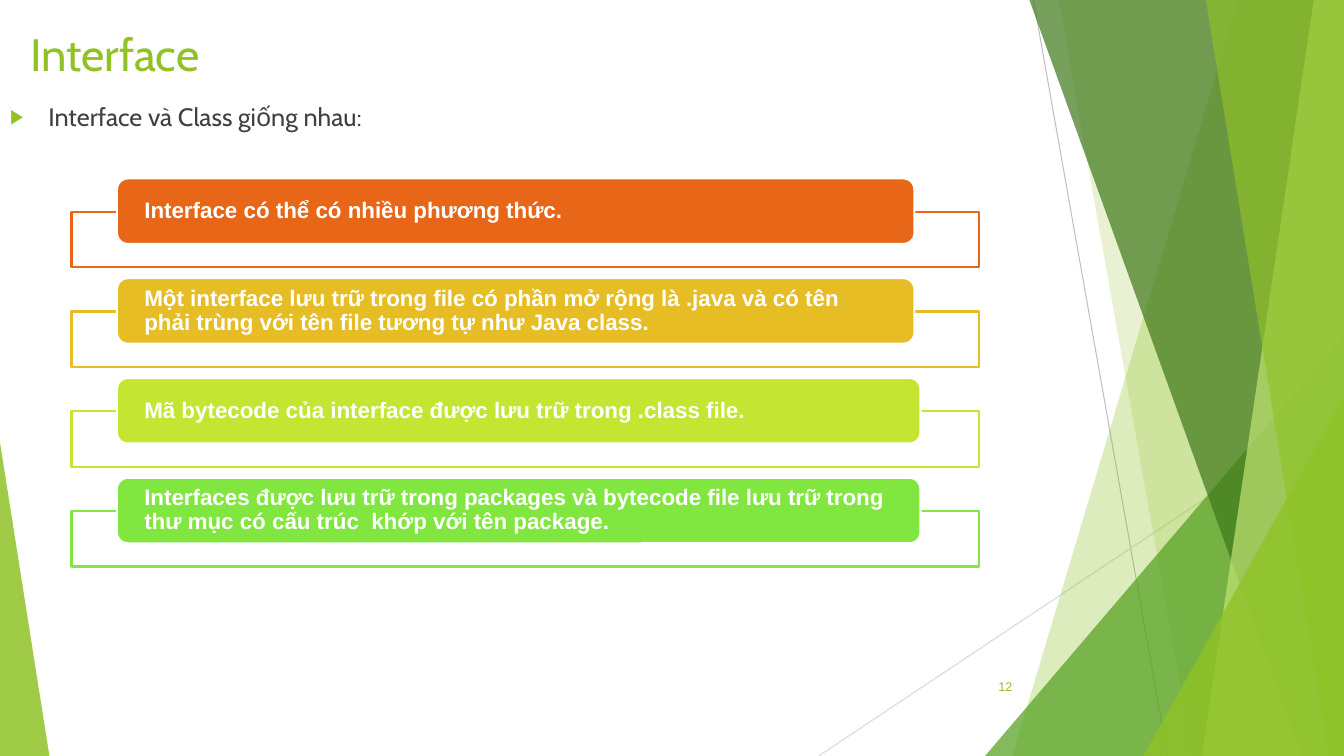
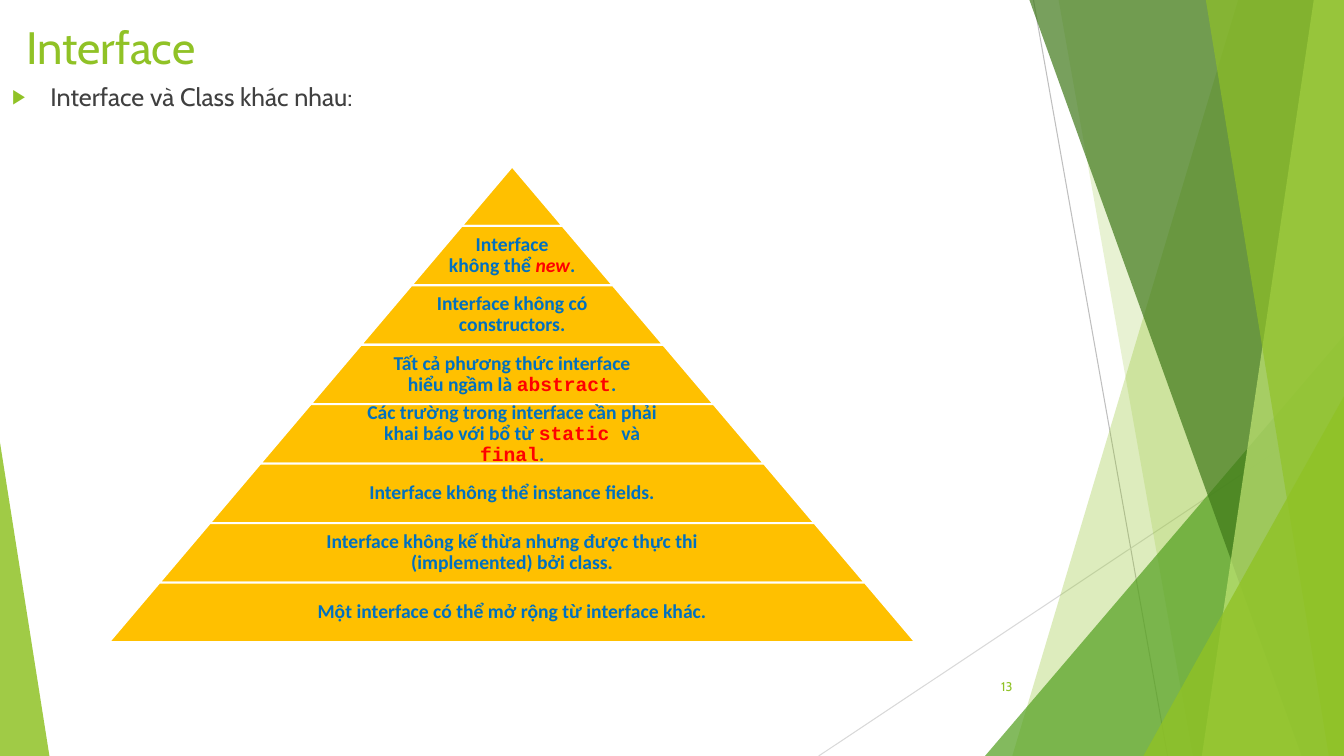
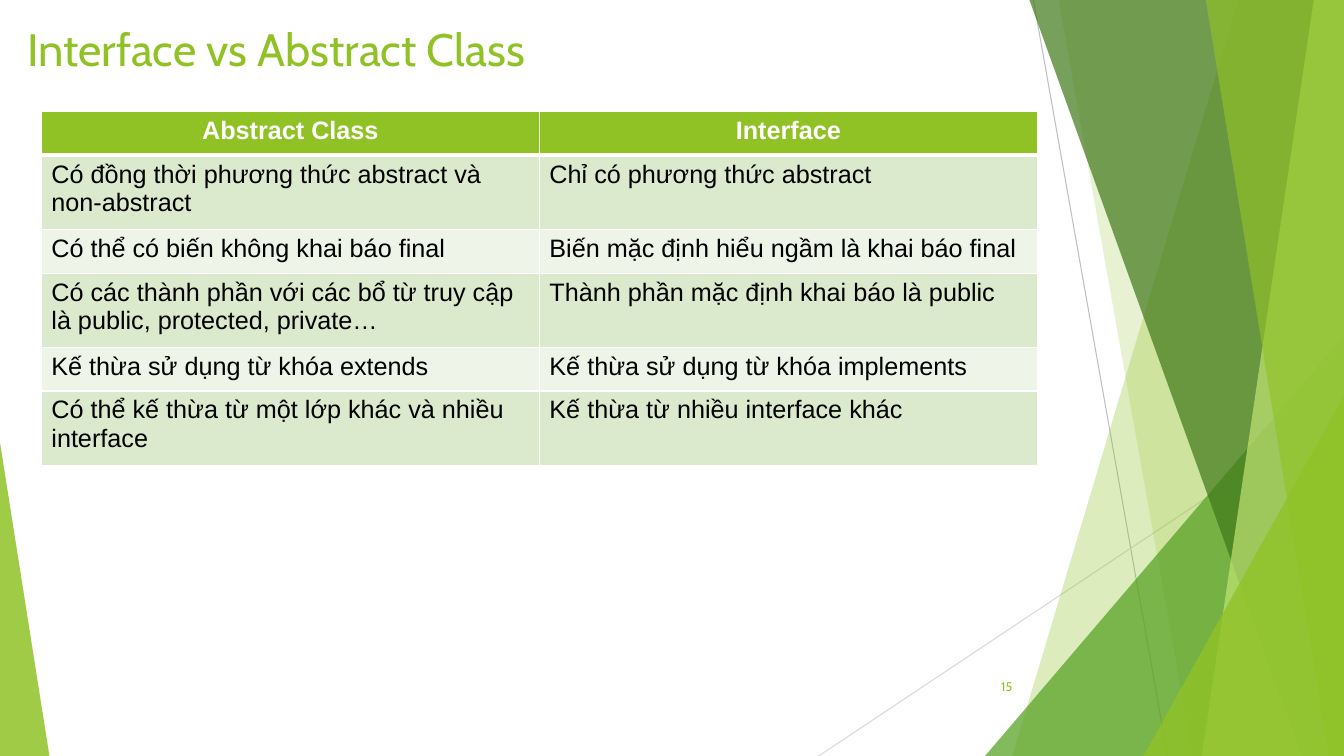
from lxml import etree
from pptx import Presentation
from pptx.dml.color import RGBColor
from pptx.enum.shapes import MSO_CONNECTOR, MSO_SHAPE
from pptx.enum.text import MSO_ANCHOR, MSO_AUTO_SIZE, PP_ALIGN
from pptx.oxml.ns import qn
from pptx.util import Pt

PX = 9144
WIDTH, HEIGHT = 1333, 750

RECT, ROUNDED = MSO_SHAPE.RECTANGLE, MSO_SHAPE.ROUNDED_RECTANGLE
TRIANGLE, TRAPEZOID = MSO_SHAPE.ISOSCELES_TRIANGLE, MSO_SHAPE.TRAPEZOID
STRAIGHT = MSO_CONNECTOR.STRAIGHT
TOP, MIDDLE = MSO_ANCHOR.TOP, MSO_ANCHOR.MIDDLE
LEFT, CENTER, RIGHT = PP_ALIGN.LEFT, PP_ALIGN.CENTER, PP_ALIGN.RIGHT
NO_FIT = MSO_AUTO_SIZE.NONE

WHITE = RGBColor(0xFF, 0xFF, 0xFF)
BLACK = RGBColor(0x00, 0x00, 0x00)
GREY = RGBColor(0x40, 0x40, 0x40)
SILVER = RGBColor(0xBF, 0xBF, 0xBF)
MIST = RGBColor(0xD9, 0xD9, 0xD9)
GREEN = RGBColor(0x90, 0xC2, 0x26)
LEAF = RGBColor(0x54, 0xA0, 0x21)
FOREST = RGBColor(0x3F, 0x78, 0x19)
LIME = RGBColor(0xC0, 0xE4, 0x74)
GOLD = RGBColor(0xFF, 0xC0, 0x00)
BLUE = RGBColor(0x00, 0x70, 0xC0)
RED = RGBColor(0xFF, 0x00, 0x00)
ROW_DARK = RGBColor(0xDB, 0xE9, 0xCD)
ROW_LIGHT = RGBColor(0xEE, 0xF4, 0xE8)

HEADING, ARIAL, BODY, CODE = "Cabin", "Arial", "Calibri", "Courier New"

RAYS = [
    ((1025, 0), (1158, 750), SILVER),
    ((1333, 403), (812, 750), MIST),
]
FACETS = [
    ("band", [(1228, 0), (1333, 0), (1333, 750), (1004, 750)], GREEN, 30),
    ("band", [(1050, 0), (1333, 0), (1333, 750), (1183, 750)], GREEN, 20),
    ("triangle", (977, 333, 356, 417, 1), LEAF, 72),
    ("band", [(1021, 0), (1333, 0), (1333, 750), (1291, 750)], FOREST, 70),
    ("band", [(1303, 0), (1333, 0), (1333, 750), (1192, 750)], LIME, 70),
    ("band", [(1196, 0), (1333, 0), (1333, 750), (1318, 750)], GREEN, 65),
    ("triangle", (1134, 393, 199, 357, 1), GREEN, 80),
    ("triangle", (0, 439, 49, 311, 0), GREEN, 85),
]

SIMILARITIES = [
    ("Interface có thể có nhiều phương thức.", RGBColor(0xE7, 0x66, 0x18), 791),
    ("Một interface lưu trữ trong file có phần mở rộng là .java và có tên "
     "phải trùng với tên file tương tự như Java class.", RGBColor(0xE7, 0xBD, 0x25), 791),
    ("Mã bytecode của interface được lưu trữ trong .class file.",
     RGBColor(0xC4, 0xE6, 0x33), 797),
    ("Interfaces được lưu trữ trong packages và bytecode file lưu trữ trong "
     "thư mục có cấu trúc  khớp với tên package.", RGBColor(0x82, 0xE6, 0x40), 797),
]

DIFFERENCES = [
    [],
    [("Interface không thể ", "text"), ("new", "italic"), (".", "text")],
    [("Interface không có constructors.", "text")],
    [("Tất cả phương thức interface hiểu ngầm là ", "text"), ("abstract", "code"),
     (".", "text")],
    [("Các trường trong interface cần phải khai báo với bổ từ ", "text"),
     ("static ", "code"), ("và ", "text"), ("final", "code"), (".", "text")],
    [("Interface không thể instance fields.", "text")],
    [("Interface không kế thừa nhưng được thực thi (implemented) bởi class.", "text")],
    [("Một interface có thể mở rộng từ interface khác.", "text")],
]

COMPARISON = [
    ("Abstract Class", "Interface"),
    ("Có đồng thời phương thức abstract và non-abstract", "Chỉ có phương thức abstract"),
    ("Có thể có biến không khai báo final", "Biến mặc định hiểu ngầm là khai báo final"),
    ("Có các thành phần với các bổ từ truy cập là public, protected, private…",
     "Thành phần mặc định khai báo là public"),
    ("Kế thừa sử dụng từ khóa extends", "Kế thừa sử dụng từ khóa implements"),
    ("Có thể kế thừa từ một lớp khác và nhiều interface",
     "Kế thừa từ nhiều interface khác"),
]


def emu(*lengths):
    """Turn px lengths into EMU."""
    return [round(v * PX) for v in lengths]


def sub(parent, tag, **attrs):
    """Append an XML child with the given attributes."""
    el = etree.SubElement(parent, qn(tag))
    for name, value in attrs.items():
        el.set(name, str(value))
    return el


def set_font(font, name, size, color, bold=False):
    """Set the face, size, colour and weight of a font."""
    font.name, font.size, font.bold = name, Pt(size), bold
    font.color.rgb = color


def paint(sp, fill, alpha=100, line=None):
    """Give a shape a fill, an opacity and an outline without shadow."""
    sp.shadow.inherit = False
    sp.fill.solid()
    sp.fill.fore_color.rgb = fill
    if alpha < 100:
        sub(sp.element.xpath("./p:spPr/a:solidFill/*")[0], "a:alpha", val=alpha * 1000)
    if line is None:
        sp.line.fill.background()
    else:
        sp.line.color.rgb = line
        sp.line.width = Pt(1.5)


def add_box(slide, kind, box, fill, alpha=100, line=None, adj=None):
    """Add a painted preset shape in a px box."""
    sp = slide.shapes.add_shape(kind, *emu(*box))
    if adj is not None:
        sp.adjustments[0] = adj
    paint(sp, fill, alpha, line)
    return sp


def set_frame(tf, anchor, side=10, edge=5):
    """Set wrapping, anchor and px margins of a text frame."""
    tf.word_wrap, tf.auto_size, tf.vertical_anchor = True, NO_FIT, anchor
    tf.margin_left, tf.margin_right = emu(side, side)
    tf.margin_top, tf.margin_bottom = emu(edge, edge)


def add_backdrop(prs, slide):
    """Draw the rays and facets and move them to the slide master."""
    parts = []
    for start, end, color in RAYS:
        ray = slide.shapes.add_connector(STRAIGHT, *emu(*start, *end))
        ray.line.color.rgb, ray.line.width = color, Pt(0.75)
        sub(ray.element.spPr, "a:effectLst")
        parts.append(ray)
    for kind, outline, color, alpha in FACETS:
        if kind == "band":
            builder = slide.shapes.build_freeform(*outline[0], scale=PX)
            builder.add_line_segments(outline[1:], close=True)
            sp = builder.convert_to_shape()
            paint(sp, color, alpha)
        else:
            sp = add_box(slide, TRIANGLE, outline[:4], color, alpha, adj=outline[4])
        parts.append(sp)
    tree = prs.slide_master.shapes.element
    for i, sp in enumerate(parts):
        sp.element.xpath(".//p:cNvPr")[0].set("id", str(100 + i))
        tree.insert(2 + i, sp.element)


def fill_placeholder(ph, box, text, size, color):
    """Place a placeholder and write its single paragraph."""
    ph.left, ph.top, ph.width, ph.height = emu(*box)
    set_frame(ph.text_frame, TOP)
    ph.text_frame.text = text
    p = ph.text_frame.paragraphs[0]
    if ph.placeholder_format.idx == 1:
        pPr = p._p.get_or_add_pPr()
        indent = emu(38)[0]
        pPr.set("marL", str(indent))
        pPr.set("indent", str(-indent))
        sub(sub(pPr, "a:buClr"), "a:srgbClr", val=GREEN)
        sub(pPr, "a:buSzPct", val=80000)
        sub(pPr, "a:buChar", char="▶")
    p.alignment, p.space_before = LEFT, Pt(0)
    set_font(p.font, HEADING, size, color)


def add_slide(prs, layout, title, title_box, number, number_font=HEADING):
    """Add a slide with its title and page number."""
    slide = prs.slides.add_slide(prs.slide_layouts[layout])
    fill_placeholder(slide.shapes.title, title_box, title, 32.4, GREEN)
    tf = slide.shapes.add_textbox(*emu(939, 661, 75, 40)).text_frame
    set_frame(tf, MIDDLE)
    tf.text = number
    p = tf.paragraphs[0]
    p.alignment = RIGHT
    set_font(p.font, number_font, 9, GREEN)
    return slide


def add_similarities(slide, x, y, w):
    """Draw a column of outlined frames, each with a labelled bar."""
    for i, (text, color, bar_w) in enumerate(SIMILARITIES):
        top = y + 99 * i
        add_box(slide, RECT, (x, top, w, 55), WHITE, 90, color)
        bar = add_box(slide, ROUNDED, (x + 45, top - 33, bar_w, 65), color, line=WHITE)
        set_frame(bar.text_frame, MIDDLE, 24, 0)
        bar.text_frame.text = text
        p = bar.text_frame.paragraphs[0]
        p.alignment, p.line_spacing = LEFT, 0.9
        set_font(p.font, ARIAL, 16, WHITE, True)


def add_pyramid(slide, x, y, w, tier_h):
    """Draw a pyramid of tiers that widen by equal steps."""
    step = w / len(DIFFERENCES)
    for i, runs in enumerate(DIFFERENCES):
        top, tier_w = y + tier_h * i, step * (i + 1)
        add_box(slide, TRAPEZOID, (x + (w - tier_w) / 2, top, tier_w, tier_h), GOLD,
                line=WHITE, adj=step / 2 / tier_h)
        if runs:
            text_w = tier_w * 0.65
            add_tier_text(slide, (x + (w - text_w) / 2, top, text_w, tier_h), runs)


def add_tier_text(slide, box, runs):
    """Write the centred label of one pyramid tier."""
    tf = slide.shapes.add_textbox(*emu(*box)).text_frame
    set_frame(tf, MIDDLE, 2, 2)
    p = tf.paragraphs[0]
    p.alignment, p.line_spacing = CENTER, 0.9
    set_font(p.font, BODY, 14, BLUE, True)
    for text, style in runs:
        r = p.add_run()
        r.text = text
        if style != "text":
            r.font.color.rgb = RED
        if style == "italic":
            r.font.italic = True
        if style == "code":
            r.font.name = CODE


def set_borders(cell, top, bottom):
    """Give a cell white borders, with top and bottom widths in points."""
    tcPr = cell._tc.get_or_add_tcPr()
    for side, width in (("L", 1), ("R", 1), ("T", top), ("B", bottom)):
        ln = sub(tcPr, "a:ln" + side, w=Pt(width))
        sub(sub(ln, "a:solidFill"), "a:srgbClr", val=WHITE)


def add_comparison(slide, x, y, w):
    """Add the two-column comparison table."""
    heights = [43, 74, 43, 74, 43, 74]
    table = slide.shapes.add_table(len(heights), 2, *emu(x, y, w, sum(heights))).table
    for i, (row, height) in enumerate(zip(COMPARISON, heights)):
        table.rows[i].height = emu(height)[0]
        header = i == 0
        fill = GREEN if header else ROW_DARK if i % 2 else ROW_LIGHT
        for j, text in enumerate(row):
            cell = table.cell(i, j)
            set_borders(cell, 3 if i == 1 else 1, 3 if header else 1)
            cell.fill.solid()
            cell.fill.fore_color.rgb = fill
            cell.text = text
            p = cell.text_frame.paragraphs[0]
            p.alignment = CENTER if header else LEFT
            set_font(p.font, ARIAL, 18, WHITE if header else BLACK, header)


def main():
    """Build the three slides and save them."""
    prs = Presentation()
    prs.slide_width, prs.slide_height = emu(WIDTH, HEIGHT)

    slide = add_slide(prs, 1, "Interface", (20, 21, 985, 51), "12", ARIAL)
    add_backdrop(prs, slide)
    fill_placeholder(slide.placeholders[1], (0, 96, 1323, 58),
                     "Interface và Class giống nhau:", 18, GREY)
    add_similarities(slide, 71, 210, 900)

    slide = add_slide(prs, 1, "Interface", (16, 14, 984, 52), "13")
    fill_placeholder(slide.placeholders[1], (2, 76, 1323, 65),
                     "Interface và Class khác nhau:", 18, GREY)
    add_pyramid(slide, 108, 165, 800, 59)

    slide = add_slide(prs, 5, "Interface vs Abstract Class", (17, 16, 982, 62), "15")
    add_comparison(slide, 41, 111, 988)

    prs.save("out.pptx")


if __name__ == "__main__":
    main()
